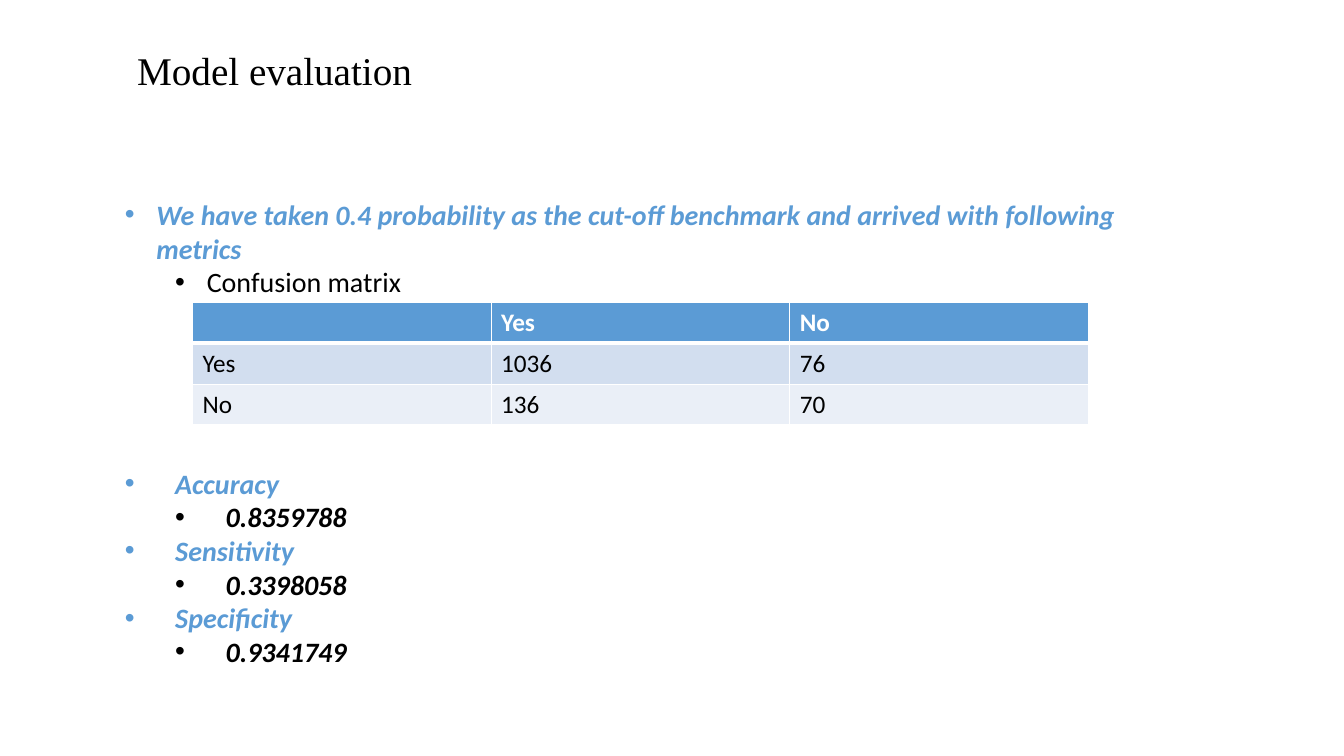
"""Build the model evaluation slide with its confusion matrix and metrics."""
import lxml.etree
import pptx
import pptx.dml.color
import pptx.enum.text
import pptx.oxml.ns
import pptx.util
from dataclasses import dataclass

TITLE = "Model evaluation"
INTRODUCTION = "We have taken 0.4 probability as the cut-off benchmark and arrived with following metrics"
MATRIX_LABEL = "Confusion matrix"
MATRIX = [
    ("", "Yes", "No"),
    ("Yes", "1036", "76"),
    ("No", "136", "70"),
]
METRICS = {
    "Accuracy": "0.8359788",
    "Sensitivity": "0.3398058",
    "Specificity": "0.9341749",
}

SLIDE_SIZE = (960, 540)
TITLE_BOX = (90.72, 18, 733.68, 67.68)
BODY_BOX = (82.08, 137.52, 771.12, 468)
TABLE_BOX = (137.5, 216, 640, 87.6)
MATRIX_GAP = 120
LEVEL_STEP = 36


@dataclass(frozen=True)
class Theme:
    """Colours, fonts and type sizes of the slide."""
    accent: str = "5B9BD5"
    dark: str = "000000"
    light: str = "FFFFFF"
    bands: tuple = ("D2DEEF", "EAEFF7")
    title_font: str = "Times New Roman"
    body_font: str = "Calibri"
    title_size: int = 28
    body_size: int = 20
    table_size: int = 18


THEME = Theme()


def points(values):
    """Convert plain numbers to lengths in points."""
    return [pptx.util.Pt(value) for value in values]


def colour(code):
    """Return an RGB colour from its code."""
    return pptx.dml.color.RGBColor.from_string(code)


def apply_format(target, values):
    """Set attributes from a dict of format values."""
    for name, value in values.items():
        setattr(target, name, value)


def write_text(paragraph, text, code, size, font=THEME.body_font, bold=False, italic=False):
    """Add one formatted run to a paragraph."""
    run = paragraph.add_run()
    run.text = text
    apply_format(run.font, {"name": font, "size": pptx.util.Pt(size), "bold": bold, "italic": italic})
    run.font.color.rgb = colour(code)


def add_bullet(paragraph, level, hanging):
    """Give a paragraph a round bullet with a hanging indent."""
    paragraph.level = level
    properties = paragraph._p.get_or_add_pPr()
    properties.set("marL", str(pptx.util.Pt(level * LEVEL_STEP + hanging)))
    properties.set("indent", str(pptx.util.Pt(-hanging)))
    for tag, name, value in (("a:buFont", "typeface", "Arial"), ("a:buChar", "char", "•")):
        element = lxml.etree.SubElement(properties, pptx.oxml.ns.qn(tag))
        element.set(name, value)


def set_borders(cell, bottom_width):
    """Draw white borders around a table cell."""
    properties = cell._tc.get_or_add_tcPr()
    widths = {"a:lnL": 1, "a:lnR": 1, "a:lnT": 1, "a:lnB": bottom_width}
    for position, (tag, width) in enumerate(widths.items()):
        line = lxml.etree.Element(pptx.oxml.ns.qn(tag), w=str(pptx.util.Pt(width)))
        fill = lxml.etree.SubElement(line, pptx.oxml.ns.qn("a:solidFill"))
        lxml.etree.SubElement(fill, pptx.oxml.ns.qn("a:srgbClr"), val=THEME.light)
        properties.insert(position, line)


def add_title(slide):
    """Place and format the title."""
    title = slide.shapes.title
    apply_format(title, dict(zip(("left", "top", "width", "height"), points(TITLE_BOX))))
    apply_format(title.text_frame, {
        "vertical_anchor": pptx.enum.text.MSO_ANCHOR.MIDDLE,
        "auto_size": pptx.enum.text.MSO_AUTO_SIZE.NONE,
        "word_wrap": True,
    })
    paragraph = title.text_frame.paragraphs[0]
    apply_format(paragraph, {"alignment": pptx.enum.text.PP_ALIGN.LEFT, "line_spacing": 0.9})
    write_text(paragraph, TITLE, THEME.dark, THEME.title_size, THEME.title_font)


def add_body(slide):
    """Add the bulleted text, leaving room for the matrix."""
    frame = slide.shapes.add_textbox(*points(BODY_BOX)).text_frame
    frame.word_wrap = True
    lines = [(INTRODUCTION, 0, 22.5, True), (MATRIX_LABEL, 1, 22.5, False)]
    for name, value in METRICS.items():
        lines += [(name, 0, 36, True), (value, 1, 36, True)]
    first_metric = next(iter(METRICS))
    for index, (text, level, hanging, strong) in enumerate(lines):
        paragraph = frame.add_paragraph() if index else frame.paragraphs[0]
        if text == first_metric:
            paragraph.space_before = pptx.util.Pt(MATRIX_GAP)
        add_bullet(paragraph, level, hanging)
        code = THEME.dark if level else THEME.accent
        write_text(paragraph, text, code, THEME.body_size, bold=strong, italic=strong)


def add_matrix(slide):
    """Add the confusion matrix table."""
    table = slide.shapes.add_table(len(MATRIX), len(MATRIX[0]), *points(TABLE_BOX)).table
    table.horz_banding = False
    fills = (THEME.accent, *THEME.bands)
    for row, (values, fill) in enumerate(zip(MATRIX, fills)):
        header = row == 0
        for column, text in enumerate(values):
            cell = table.cell(row, column)
            cell.fill.solid()
            cell.fill.fore_color.rgb = colour(fill)
            set_borders(cell, 3 if header else 1)
            if text:
                code = THEME.light if header else THEME.dark
                write_text(cell.text_frame.paragraphs[0], text, code, THEME.table_size, bold=header)


def main():
    """Create and save the presentation."""
    presentation = pptx.Presentation()
    apply_format(presentation, dict(zip(("slide_width", "slide_height"), points(SLIDE_SIZE))))
    slide = presentation.slides.add_slide(presentation.slide_layouts[5])
    add_title(slide)
    add_body(slide)
    add_matrix(slide)
    presentation.save("out.pptx")


if __name__ == "__main__":
    main()
